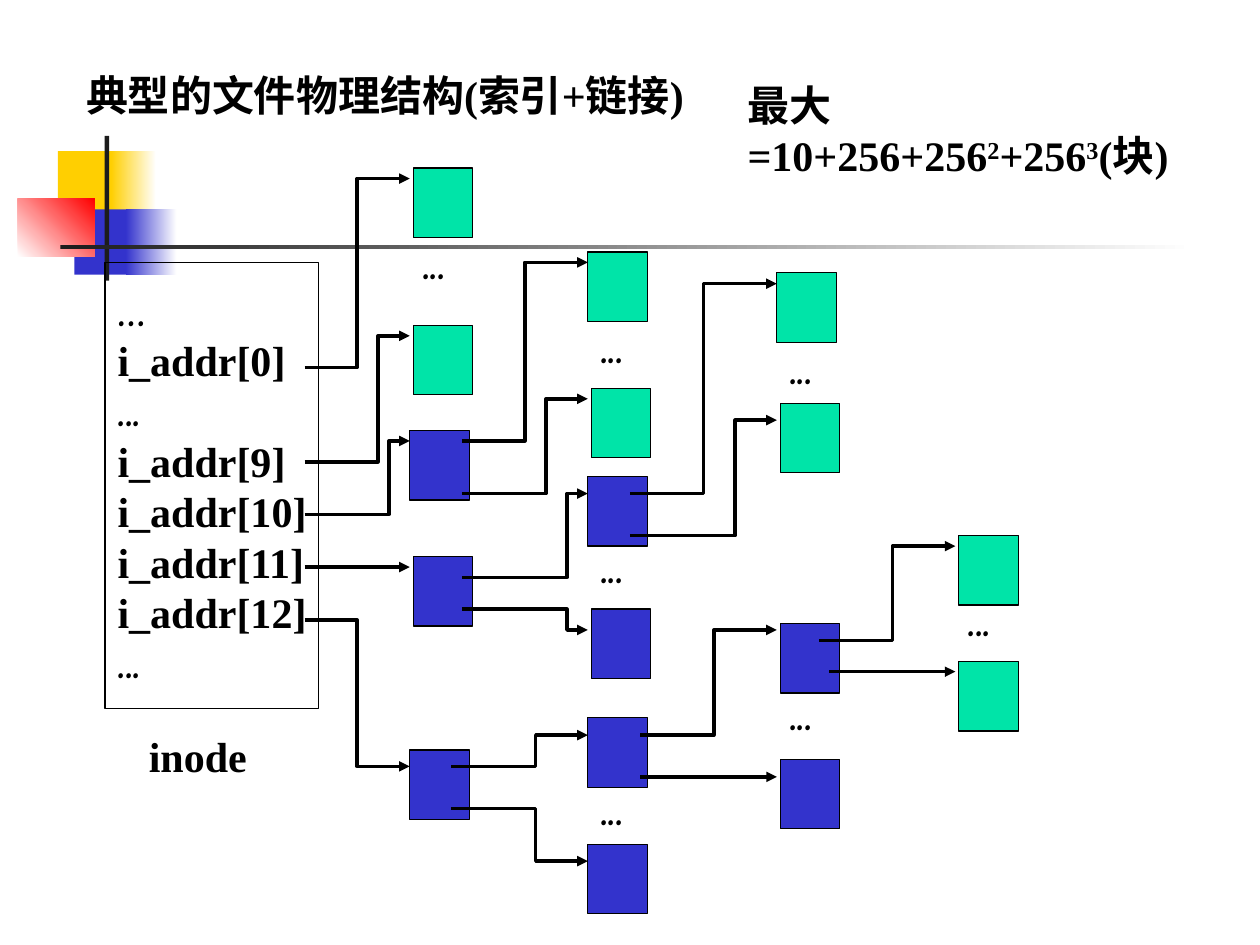
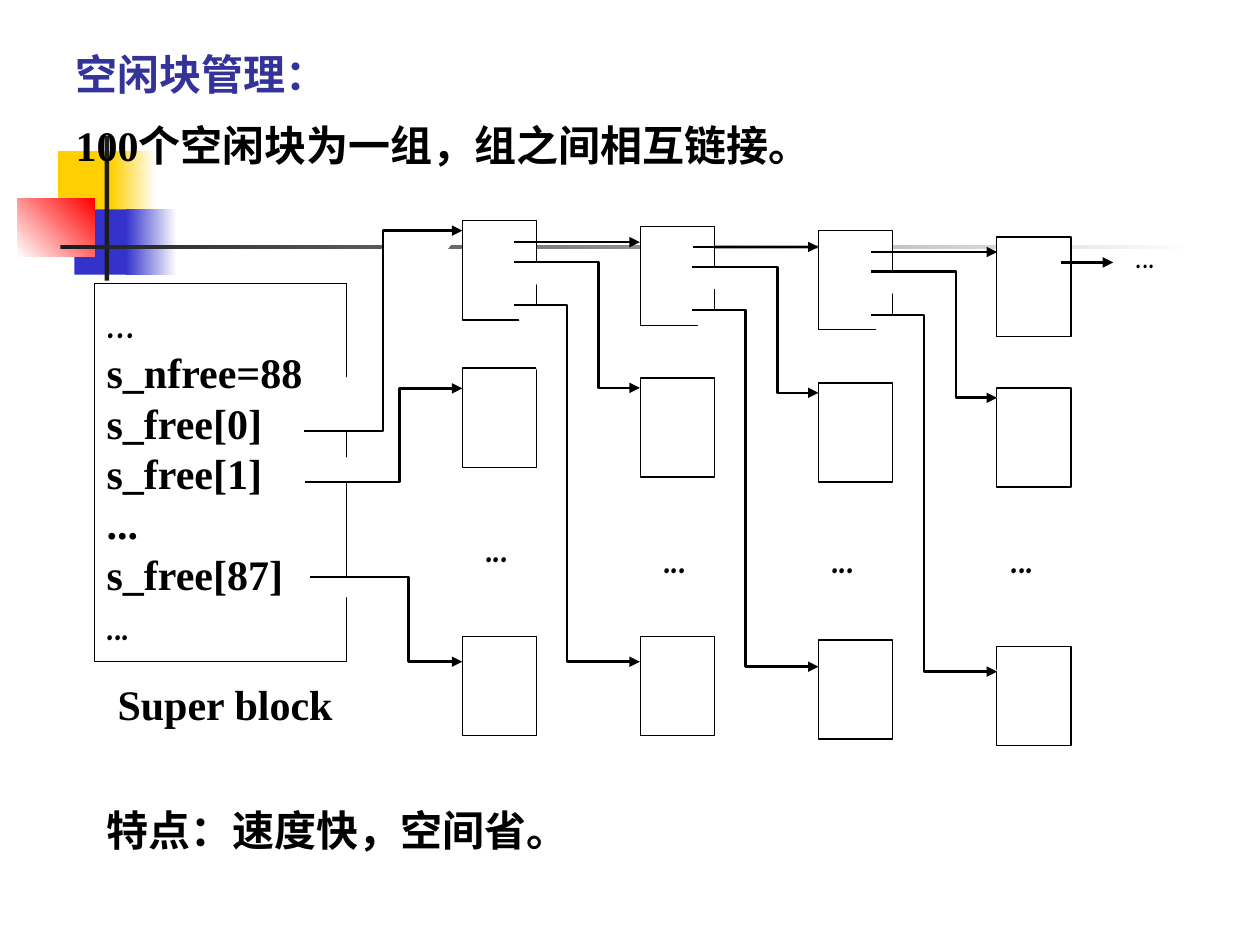
import pptx
import pptx.dml.color
import pptx.enum.shapes
import pptx.enum.text
import pptx.oxml
import pptx.oxml.ns
import pptx.util

BLACK, WHITE, INDIGO = "000000", "FFFFFF", "333399"
DATA, INDEX = "00E4A8", "3333CC"
YELLOW, RED, CHARCOAL = "FFCF01", "FF0000", "1C1C1C"
SERIF, COMIC = "Times New Roman", "Comic Neue"
RECTANGLE = pptx.enum.shapes.MSO_SHAPE.RECTANGLE


def cm(*values):
    """Convert centimetre values to lengths."""
    return [pptx.util.Cm(value) for value in values]


def paint(color, value):
    """Give a colour object a hex value."""
    color.rgb = pptx.dml.color.RGBColor.from_string(value)


def fill_solid(shape, value):
    """Fill a shape with one colour, or with none."""
    if value is None:
        shape.fill.background()
    else:
        shape.fill.solid()
        paint(shape.fill.fore_color, value)


def format_run(run, font=SERIF, color=BLACK, bold=True):
    """Apply the shared 24 point type."""
    run.font.name = font
    run.font.size = pptx.util.Pt(24)
    run.font.bold = bold
    paint(run.font.color, color)


def format_paragraph(paragraph, **style):
    """Align a paragraph left and format its runs."""
    paragraph.alignment = pptx.enum.text.PP_ALIGN.LEFT
    for run in paragraph.runs:
        format_run(run, **style)


def add_rectangle(slide, box, fill=None, outline=True):
    """Draw a plain rectangle with an optional thin black outline."""
    rectangle = slide.shapes.add_shape(RECTANGLE, *cm(*box))
    rectangle.shadow.inherit = False
    fill_solid(rectangle, fill)
    if outline:
        paint(rectangle.line.color, BLACK)
        rectangle.line.width = pptx.util.Pt(0.75)
    else:
        rectangle.line.fill.background()
    return rectangle


def add_label(slide, box, text, fill=None, **style):
    """Add a wrapped one-paragraph text box."""
    label = slide.shapes.add_textbox(*cm(*box))
    fill_solid(label, fill)
    label.text_frame.word_wrap = True
    label.text_frame.text = text
    format_paragraph(label.text_frame.paragraphs[0], **style)
    return label


def add_dots(slide, left, top, width=1.27, **style):
    """Mark omitted blocks with an ellipsis."""
    add_label(slide, (left, top, width, 1.27), "...", font=COMIC, **style)


def finish_arrow(arrow, width):
    """Style a line as a black arrow."""
    paint(arrow.line.color, BLACK)
    arrow.line.width = pptx.util.Pt(width)
    head = pptx.oxml.parse_xml(
        f'<a:tailEnd {pptx.oxml.ns.nsdecls("a")} type="triangle"/>')
    arrow.line._get_or_add_ln().append(head)


def add_straight(slide, x1, y, x2, width):
    """Draw a horizontal arrow."""
    kind = pptx.enum.shapes.MSO_CONNECTOR.STRAIGHT
    arrow = slide.shapes.add_connector(kind, *cm(x1, y, x2, y))
    finish_arrow(arrow, width)
    arrow.element.spPr.append(pptx.oxml.parse_xml(
        f'<a:effectLst {pptx.oxml.ns.nsdecls("a")}/>'))


def add_elbow(slide, x1, y1, bend, x2, y2, width, fill=None):
    """Draw an arrow that turns twice at the given bend."""
    outline = slide.shapes.build_freeform(*cm(x1, y1))
    turns = [(bend, y1), (bend, y2), (x2, y2)]
    outline.add_line_segments([cm(*turn) for turn in turns], close=False)
    arrow = outline.convert_to_shape()
    arrow.shadow.inherit = False
    fill_solid(arrow, fill)
    finish_arrow(arrow, width)


def place_heading(placeholder, box, text, color=BLACK):
    """Move a template placeholder and set its single line."""
    placeholder.left, placeholder.top, placeholder.width, placeholder.height = cm(*box)
    frame = placeholder.text_frame
    frame.text = text
    frame.word_wrap = True
    frame.auto_size = pptx.enum.text.MSO_AUTO_SIZE.NONE
    frame.vertical_anchor = pptx.enum.text.MSO_ANCHOR.TOP
    paragraph = frame.paragraphs[0]
    properties = paragraph._p.get_or_add_pPr()
    properties.set("marL", "0")
    properties.set("indent", "0")
    properties.append(pptx.oxml.parse_xml(
        f'<a:buNone {pptx.oxml.ns.nsdecls("a")}/>'))
    paragraph.space_before = pptx.util.Pt(0)
    format_paragraph(paragraph, color=color)


def decorate_master(prs, slide):
    """Build the coloured blocks and rules, then hand them to the master."""
    blocks = [
        ((1.17, 3.05, 1.22, 1.32), YELLOW, None, 0),
        ((2.24, 3.05, 0.91, 1.32), YELLOW, WHITE, 0),
        ((1.5, 4.22, 1.17, 1.32), INDEX, None, 0),
        ((2.54, 4.22, 1.02, 1.32), INDEX, WHITE, 0),
        ((0.36, 4.01, 1.55, 1.17), WHITE, RED, 45),
        ((2.11, 2.74, 0.09, 2.92), CHARCOAL, None, 0),
        ((1.22, 4.94, 22.86, 0.09), CHARCOAL, WHITE, 0),
    ]
    tree = prs.slide_master.shapes.element
    for number, (box, start, end, angle) in enumerate(blocks):
        block = add_rectangle(slide, box, start, outline=False)
        if end:
            block.fill.gradient()
            block.fill.gradient_angle = angle
            for stop, value in zip(block.fill.gradient_stops, (start, end)):
                paint(stop.color, value)
        block.element.nvSpPr.cNvPr.set("id", str(100 + number))
        tree.insert(2 + number, block.element)


def add_record(slide, box, lines, comic_lines, caption, caption_box, fill=None):
    """List the fields of a disk record and put its caption below."""
    left, top = box[:2]
    record = add_rectangle(slide, box, fill)
    frame = record.text_frame
    frame.text = "\n".join(lines)
    frame.word_wrap = False
    frame.vertical_anchor = pptx.enum.text.MSO_ANCHOR.MIDDLE
    for number, paragraph in enumerate(frame.paragraphs):
        format_paragraph(paragraph, font=COMIC if number in comic_lines else SERIF)
    dx, dy, width, height = caption_box
    add_label(slide, (left + dx, top + dy, width, height), caption, fill)


def add_index_tree(slide, left, top):
    """Draw the data and index blocks that the inode reaches."""
    blocks = {
        DATA: [(2.33, 0.39), (2.33, 3.56), (5.85, 2.08), (5.92, 4.83),
               (9.66, 2.5), (9.73, 5.13), (13.33, 7.8), (13.33, 10.34)],
        INDEX: [(2.26, 5.68), (2.33, 8.22), (2.26, 12.12), (5.85, 6.61),
                (5.92, 9.28), (5.85, 11.47), (5.85, 14.02),
                (9.73, 12.31), (9.73, 9.57)],
    }
    gaps = [(2.26, 1.66), (5.85, 3.35), (5.85, 7.8), (5.85, 12.66),
            (9.66, 10.76), (9.66, 3.77), (13.26, 8.85)]
    elbows = [
        (0.14, 4.41, 1.2, 2.26, 0.6), (0.14, 6.31, 1.62, 2.26, 3.77),
        (0.14, 7.37, 1.84, 2.26, 5.89), (0.14, 9.5, 1.2, 2.26, 12.45),
        (3.31, 5.89, 4.58, 5.85, 2.29), (3.31, 6.95, 5.01, 5.85, 5.04),
        (3.31, 8.64, 5.43, 5.85, 6.95), (3.31, 9.28, 5.43, 5.85, 9.7),
        (3.1, 12.45, 4.8, 5.85, 11.82), (3.1, 13.3, 4.8, 5.85, 14.36),
        (6.91, 11.82, 8.39, 9.66, 9.7), (6.7, 6.95, 8.18, 9.66, 2.72),
        (6.7, 7.8, 8.82, 9.66, 5.47), (10.51, 9.91, 11.99, 13.26, 8.01),
    ]
    straights = [(0.14, 8.43, 2.26), (6.91, 12.66, 9.66), (10.72, 10.54, 13.26)]
    for color, corners in blocks.items():
        for x, y in corners:
            add_rectangle(slide, (left + x, top + y, 1.2, 1.4), color)
    for x, y in gaps:
        add_dots(slide, left + x, top + y)
    for x1, y1, bend, x2, y2 in elbows:
        add_elbow(slide, left + x1, top + y1, left + bend, left + x2, top + y2, 2)
    for x1, y, x2 in straights:
        add_straight(slide, left + x1, top + y, left + x2, 2)


def add_free_chain(slide, left, top):
    """Draw the groups of free blocks, each linked to the next."""
    groups = [
        (0.45, 3.42, 8.83, 3.53, 6.36), (0.57, 3.62, 8.83, 7.12, 6.58),
        (0.65, 3.72, 8.9, 10.51, 6.58), (0.78, 3.82, 9.03, 14.12, 6.58),
    ]
    entries = [(0.13, 4.69, 1.72, 0.65), (0.15, 5.72, 2.05, 3.83),
               (0.25, 7.63, 2.23, 9.34)]
    for number, (*tops, dots_x, dots_y) in enumerate(groups):
        for y in tops:
            add_rectangle(slide, (left + 3.32 + 3.59 * number, top + y, 1.5, 2), WHITE)
        add_dots(slide, left + dots_x, top + dots_y, 1.47, fill=WHITE)
        if number == 0:
            for x1, y1, bend, y2 in entries:
                add_elbow(slide, left + x1, top + y1, left + bend,
                          left + 3.32, top + y2, 1.5, WHITE)
            continue
        start = left + 4.36 + 3.6 * (number - 1)
        end = start + 2.54
        drop = top + 0.1 * (number - 1)
        add_straight(slide, start, drop + 0.88, end, 1.5)
        for y1, bend, y2 in [(1.28, 1.71, 3.82), (2.15, 1.07, 9.34)]:
            add_elbow(slide, start, drop + y1, start + bend, end, drop + y2, 1.5, WHITE)
    add_straight(slide, left + 15.39, top + 1.29, left + 16.44, 1.5)
    add_dots(slide, left + 16.65, top + 0.45, 1.47, bold=False)


def add_maximum(slide, box):
    """State the largest file size with raised exponents."""
    label = add_label(slide, box, "最大=10+256+256")
    paragraph = label.text_frame.paragraphs[0]
    for text in ("2", "+256", "3", "(块)"):
        run = paragraph.add_run()
        run.text = text
        format_run(run)
        if text in ("2", "3"):
            run.font._element.set("baseline", "30000")


def build_file_structure(slide):
    """Compose the slide on the physical structure of files."""
    place_heading(slide.shapes.title, (1.48, 1.27, 22.65, 1.27),
                  "典型的文件物理结构(索引+链接)")
    fields = ["…", "i_addr[0]", "...", "i_addr[9]", "i_addr[10]",
              "i_addr[11]", "i_addr[12]", "..."]
    add_record(slide, (2.12, 5.29, 4.3, 9), fields, (0, 2, 7),
               "inode", (0.63, 9.32, 3.6, 1.27))
    add_index_tree(slide, 6, 3)
    add_maximum(slide, (14.82, 1.48, 9.31, 2.29))


def build_free_blocks(slide):
    """Compose the slide on free block management."""
    place_heading(slide.shapes.title, (1.27, 0.85, 22.43, 1.27),
                  "空闲块管理：", INDIGO)
    place_heading(slide.placeholders[1], (1.27, 2.29, 22.43, 1.27),
                  "100个空闲块为一组，组之间相互链接。")
    fields = ["…", "s_nfree=88", "s_free[0]", "s_free[1]", "...",
              "s_free[87]", "..."]
    add_record(slide, (1.9, 5.72, 5.08, 7.62), fields, (0, 6),
               "Super block", (0.22, 7.83, 4.87, 1.27), WHITE)
    add_free_chain(slide, 6, 4)
    add_label(slide, (1.9, 16.09, 19.9, 1.27), "特点：速度快，空间省。", WHITE)


def main():
    """Build both slides and save the presentation."""
    prs = pptx.Presentation()
    prs.slide_width, prs.slide_height = cm(25.4, 19.05)
    structure = prs.slides.add_slide(prs.slide_layouts[5])
    decorate_master(prs, structure)
    build_file_structure(structure)
    build_free_blocks(prs.slides.add_slide(prs.slide_layouts[1]))
    prs.save("out.pptx")


if __name__ == "__main__":
    main()
